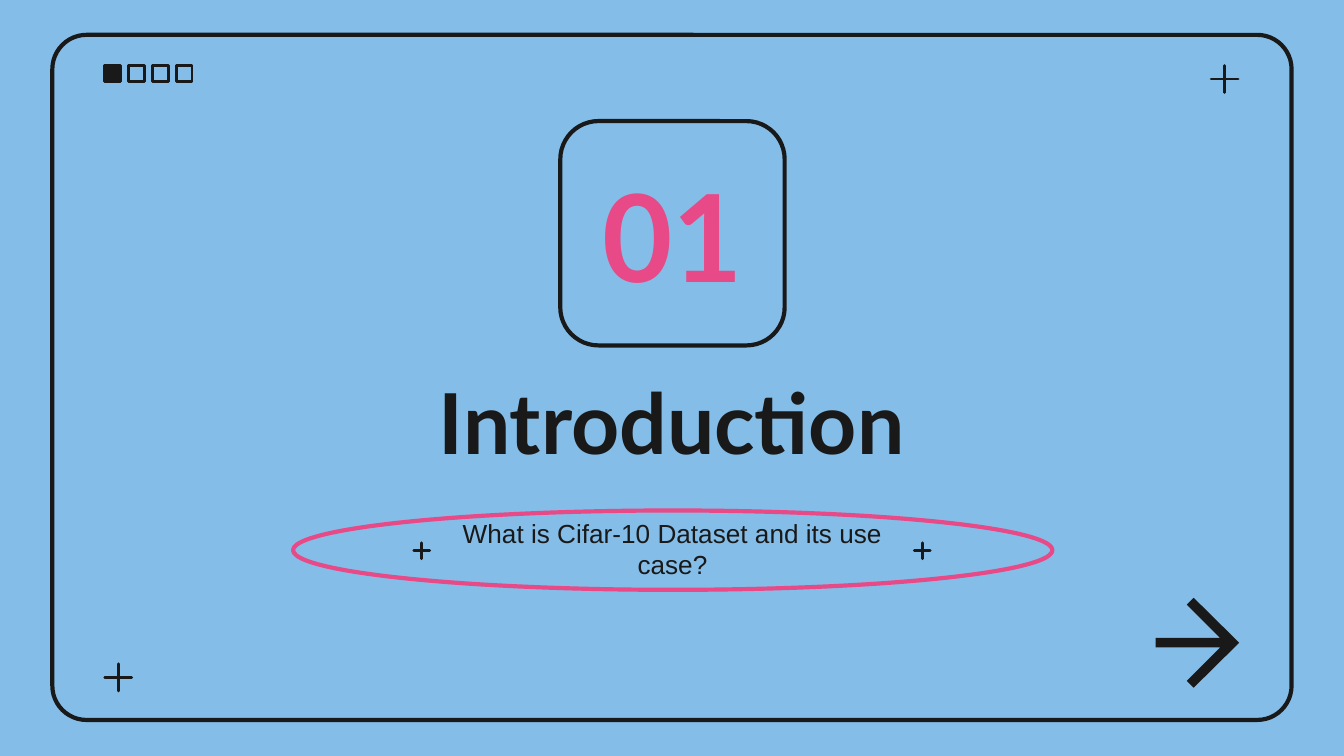
"""Build the section opener slide for the Introduction chapter."""
from pptx import Presentation
from pptx.dml.color import RGBColor
from pptx.enum.shapes import MSO_SHAPE
from pptx.enum.text import MSO_ANCHOR, PP_ALIGN
from pptx.util import Cm, Pt

SKY = RGBColor(0x84, 0xBD, 0xE7)
INK = RGBColor(0x19, 0x19, 0x19)
PINK = RGBColor(0xE8, 0x49, 0x87)

RECTANGLE = MSO_SHAPE.RECTANGLE
ROUNDED = MSO_SHAPE.ROUNDED_RECTANGLE
OVAL = MSO_SHAPE.OVAL
STAR = MSO_SHAPE.STAR_4_POINT
MIDDLE = MSO_ANCHOR.MIDDLE
CENTER = PP_ALIGN.CENTER


def add_outline(slide, kind, box, color=INK, weight=2.25, filled=False, adjust=None):
    shape = slide.shapes.add_shape(kind, *map(Cm, box))
    shape.shadow.inherit = False
    shape.line.color.rgb = color
    shape.line.width = Pt(weight)
    if filled:
        shape.fill.solid()
        shape.fill.fore_color.rgb = color
    else:
        shape.fill.background()
    if adjust is not None:
        shape.adjustments[0] = adjust


def add_plus(slide, left, top, size):
    add_outline(slide, STAR, (left, top, size, size), weight=1.5, filled=True, adjust=0)


def add_progress(slide, current, total):
    size, step = 0.3, 0.45
    for index in range(total):
        box = (1.98 + index * step, 1.24, size, size)
        add_outline(slide, RECTANGLE, box, weight=1.5, filled=index == current)


def add_label(slide, text, box, font_name, size, color=INK, bold=False):
    frame = slide.shapes.add_textbox(*map(Cm, box)).text_frame
    frame.word_wrap = True
    frame.vertical_anchor = MIDDLE
    frame.margin_left = frame.margin_right = Cm(0.25)
    frame.margin_top = frame.margin_bottom = Cm(0.25)
    frame.text = text
    paragraph = frame.paragraphs[0]
    paragraph.alignment = CENTER
    font = paragraph.runs[0].font
    font.name, font.size, font.bold = font_name, Pt(size), bold
    font.color.rgb = color


def add_next_arrow(slide):
    middle = 12.15
    upper = [(22.56, 0.85), (22.43, 0.72), (23.06, 0.09), (21.84, 0.09)]
    points = [(x, middle - rise) for x, rise in upper]
    points += [(x, middle + rise) for x, rise in reversed(upper)]
    points.append((23.42, middle))
    start, *others = [(Cm(x), Cm(y)) for x, y in points]
    builder = slide.shapes.build_freeform(*start)
    builder.add_line_segments(others, close=True)
    arrow = builder.convert_to_shape()
    arrow.shadow.inherit = False
    arrow.fill.solid()
    arrow.fill.fore_color.rgb = INK
    arrow.line.fill.background()


def main():
    deck = Presentation()
    deck.slide_width, deck.slide_height = Cm(25.4), Cm(14.29)
    slide = deck.slides.add_slide(deck.slide_layouts[6])
    slide.background.fill.solid()
    slide.background.fill.fore_color.rgb = SKY

    add_outline(slide, ROUNDED, (0.99, 0.66, 23.42, 12.95), adjust=0.05)
    add_progress(slide, current=0, total=4)
    add_plus(slide, 1.98, 12.55, 0.51)
    add_plus(slide, 22.89, 1.24, 0.51)
    add_outline(slide, OVAL, (5.54, 9.65, 14.35, 1.5), color=PINK)
    add_outline(slide, ROUNDED, (10.59, 2.29, 4.24, 4.24), adjust=0.17)

    add_label(slide, "Introduction", (6.32, 6.55, 12.75, 2.82), "Lato", 45, bold=True)
    add_label(slide, "01", (10.62, 3.25, 4.19, 2.34), "Lato", 65, PINK, bold=True)
    add_label(slide, "What is Cifar-10 Dataset and its use case?",
              (7.82, 9.8, 9.78, 1.14), "Arial", 14)

    add_next_arrow(slide)
    for left in (7.82, 17.28):
        add_plus(slide, left, 10.26, 0.3)
    deck.save("out.pptx")


if __name__ == "__main__":
    main()
